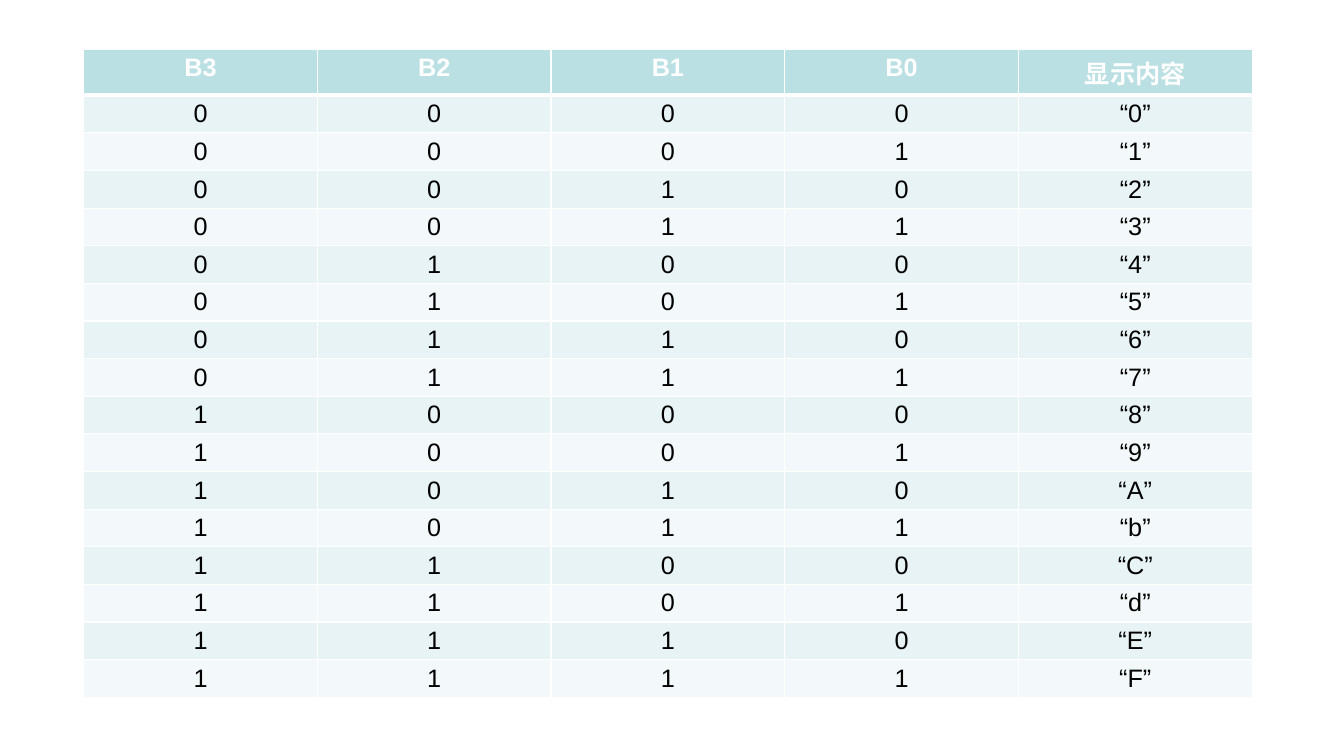
from dataclasses import dataclass

from lxml.etree import SubElement
from pptx import Presentation
from pptx.dml.color import RGBColor
from pptx.enum.text import PP_ALIGN
from pptx.oxml.ns import qn
from pptx.table import _Cell
from pptx.util import Inches, Pt

SLIDE_WIDTH, SLIDE_HEIGHT = 13.33, 7.5
TABLE_LEFT, TABLE_TOP = 0.83, 0.49
COLUMN_WIDTH, ROW_HEIGHT = 2.318, 0.36
BIT_COUNT = 4
DISPLAY_SYMBOLS = "0123456789AbCdEF"


@dataclass(frozen=True)
class RowStyle:
    fill: str
    text: str
    bold: bool = False
    bottom_border: float = 1


HEADER_STYLE = RowStyle("BBE0E3", "FFFFFF", bold=True, bottom_border=3)
BAND_STYLES = (RowStyle("E7F3F4", "000000"), RowStyle("F3F9FA", "000000"))


def color(value: str) -> RGBColor:
    return RGBColor.from_string(value)


def add_border(cell: _Cell, side: str, width: float) -> None:
    line = SubElement(cell._tc.get_or_add_tcPr(), qn(f"a:{side}"), w=str(Pt(width)))
    fill = SubElement(line, qn("a:solidFill"))
    SubElement(fill, qn("a:srgbClr"), val="FFFFFF")


def fill_cell(cell: _Cell, text: str, style: RowStyle, top_border: float) -> None:
    borders = {"lnL": 1, "lnR": 1, "lnT": top_border, "lnB": style.bottom_border}
    for side, width in borders.items():
        add_border(cell, side, width)
    cell.fill.solid()
    cell.fill.fore_color.rgb = color(style.fill)
    cell.margin_top = cell.margin_bottom = Pt(3.35)
    cell.text = text
    para = cell.text_frame.paragraphs[0]
    para.alignment = PP_ALIGN.CENTER
    para.font.name = "Arial"
    para.font.size = Pt(18)
    para.font.bold = style.bold
    para.font.color.rgb = color(style.text)


header = [f"B{bit}" for bit in reversed(range(BIT_COUNT))] + ["显示内容"]
body = [
    [*f"{number:0{BIT_COUNT}b}", f"“{symbol}”"]
    for number, symbol in enumerate(DISPLAY_SYMBOLS)
]
rows = [header, *body]

deck = Presentation()
deck.slide_width, deck.slide_height = Inches(SLIDE_WIDTH), Inches(SLIDE_HEIGHT)
page = deck.slides.add_slide(deck.slide_layouts[6])
truth_table = page.shapes.add_table(
    len(rows),
    len(header),
    Inches(TABLE_LEFT),
    Inches(TABLE_TOP),
    Inches(COLUMN_WIDTH * len(header)),
    Inches(ROW_HEIGHT * len(rows)),
).table

top_border = 1
for row_index, texts in enumerate(rows):
    style = BAND_STYLES[(row_index - 1) % 2] if row_index else HEADER_STYLE
    for column_index, text in enumerate(texts):
        fill_cell(truth_table.cell(row_index, column_index), text, style, top_border)
    top_border = style.bottom_border

deck.save("out.pptx")
